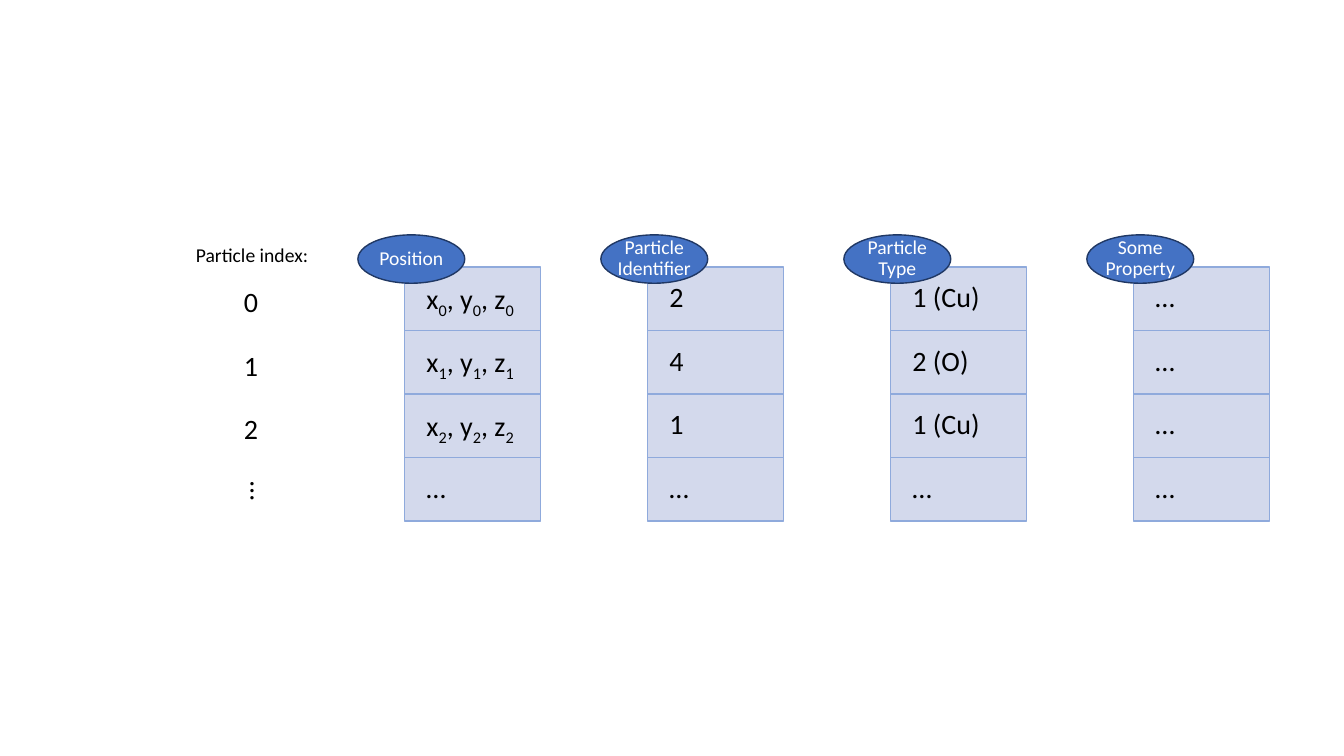
"""Draw a slide of particle properties stored as parallel columns."""
from lxml import etree
from pptx import Presentation
from pptx.dml.color import RGBColor
from pptx.enum import shapes, text
from pptx.oxml.ns import qn
from pptx.util import Inches, Pt

COLORS = {"cell": "CFD5EA", "cell_line": "8FAADC", "header": "4472C4",
          "header_line": "203864", "black": "000000", "white": "FFFFFF"}
LEFT, TOP = 4.01, 2.65
COLUMN, ROW = 2.41, 0.63
CELL_WIDTH = 1.35
INDEX_WIDTH = 1.13
PAD = 0.16
INDENT = 0.22

INDICES = ["0", "1", "2"]
PROPERTIES = {
    "Position": [("x", i, ", y", i, ", z", i) for i in INDICES] + ["…"],
    "Particle Identifier": ["2", "4", "1", "…"],
    "Particle Type": ["1 (Cu)", "2 (O)", "1 (Cu)", "…"],
    "Some Property": ["…"] * 4,
}


def grid(column, row, width, height=ROW, dx=0, dy=0):
    """Return the box of a grid position, shifted by dx and dy inches."""
    box = (LEFT + column * COLUMN + dx, TOP + row * ROW + dy, width, height)
    return [Inches(length) for length in box]


def write(shape, pieces, size, color, insets, align=text.PP_ALIGN.LEFT):
    """Write pieces of text into a shape, every second one as a subscript."""
    frame = shape.text_frame
    frame.word_wrap = True
    frame.vertical_anchor = text.MSO_ANCHOR.MIDDLE
    (frame.margin_left, frame.margin_top,
     frame.margin_right, frame.margin_bottom) = [Inches(i) for i in insets]
    line = frame.paragraphs[0]
    line.alignment = align
    line.line_spacing = 0.9
    for position, piece in enumerate(pieces):
        run = line.add_run()
        run.text = piece
        run.font.name = "Calibri"
        run.font.size = Pt(size)
        run.font.color.rgb = RGBColor.from_string(COLORS[color])
        if position % 2:
            run.font._element.set("baseline", "-25000")


def add_block(parent, kind, box, fill, outline):
    """Add a filled and outlined preset shape."""
    block = parent.add_shape(kind, *box)
    block.shadow.inherit = False
    block.fill.solid()
    block.fill.fore_color.rgb = RGBColor.from_string(COLORS[fill])
    block.line.color.rgb = RGBColor.from_string(COLORS[outline])
    block.line.width = Pt(1)
    return block


def add_cell(parent, column, row, value):
    """Add one slightly transparent value cell."""
    cell = add_block(parent, shapes.MSO_SHAPE.RECTANGLE,
                     grid(column, row, CELL_WIDTH), "cell", "cell_line")
    tint = cell._element.spPr.find(qn("a:solidFill"))[0]
    etree.SubElement(tint, qn("a:alpha")).set("val", "90000")
    write(cell, value, 20, "black", (INDENT, PAD, PAD, PAD))


def add_property(slide, column, name, values):
    """Add a property column with its oval header in front."""
    members = slide.shapes.add_group_shape().shapes
    for row, value in enumerate(values):
        add_cell(members, column, row, value)
    header = add_block(members, shapes.MSO_SHAPE.OVAL,
                       grid(column, 0, 1.06, 0.48, dx=-0.46, dy=-0.32),
                       "header", "header_line")
    write(header, [name], 14, "white", (0, 0, 0, 0), text.PP_ALIGN.CENTER)


def add_label(slide, box, label, size=20, align=text.PP_ALIGN.LEFT):
    """Add a plain text label and return it."""
    caption = slide.shapes.add_textbox(*box)
    write(caption, [label], size, "black", (0, PAD, PAD, PAD), align)
    return caption


def add_indices(slide):
    """Add the particle index column at the left."""
    for row, index in enumerate(INDICES):
        add_label(slide, grid(0, row, INDEX_WIDTH, dx=-1.59, dy=0.05), index)
    dots = add_label(slide, grid(0, 3, INDEX_WIDTH, dx=-2, dy=0.49), "…")
    dots.rotation = 90
    add_label(slide, grid(0, 0, 2.06, dx=-2.46, dy=-0.42), "Particle index:",
              14, text.PP_ALIGN.CENTER)


def main():
    """Build and save the slide."""
    deck = Presentation()
    deck.slide_width, deck.slide_height = Inches(13.33), Inches(7.5)
    slide = deck.slides.add_slide(deck.slide_layouts[6])
    for column, (name, values) in enumerate(PROPERTIES.items()):
        add_property(slide, column, name,
                     [[v] if isinstance(v, str) else v for v in values])
    add_indices(slide)
    deck.save("out.pptx")


if __name__ == "__main__":
    main()
